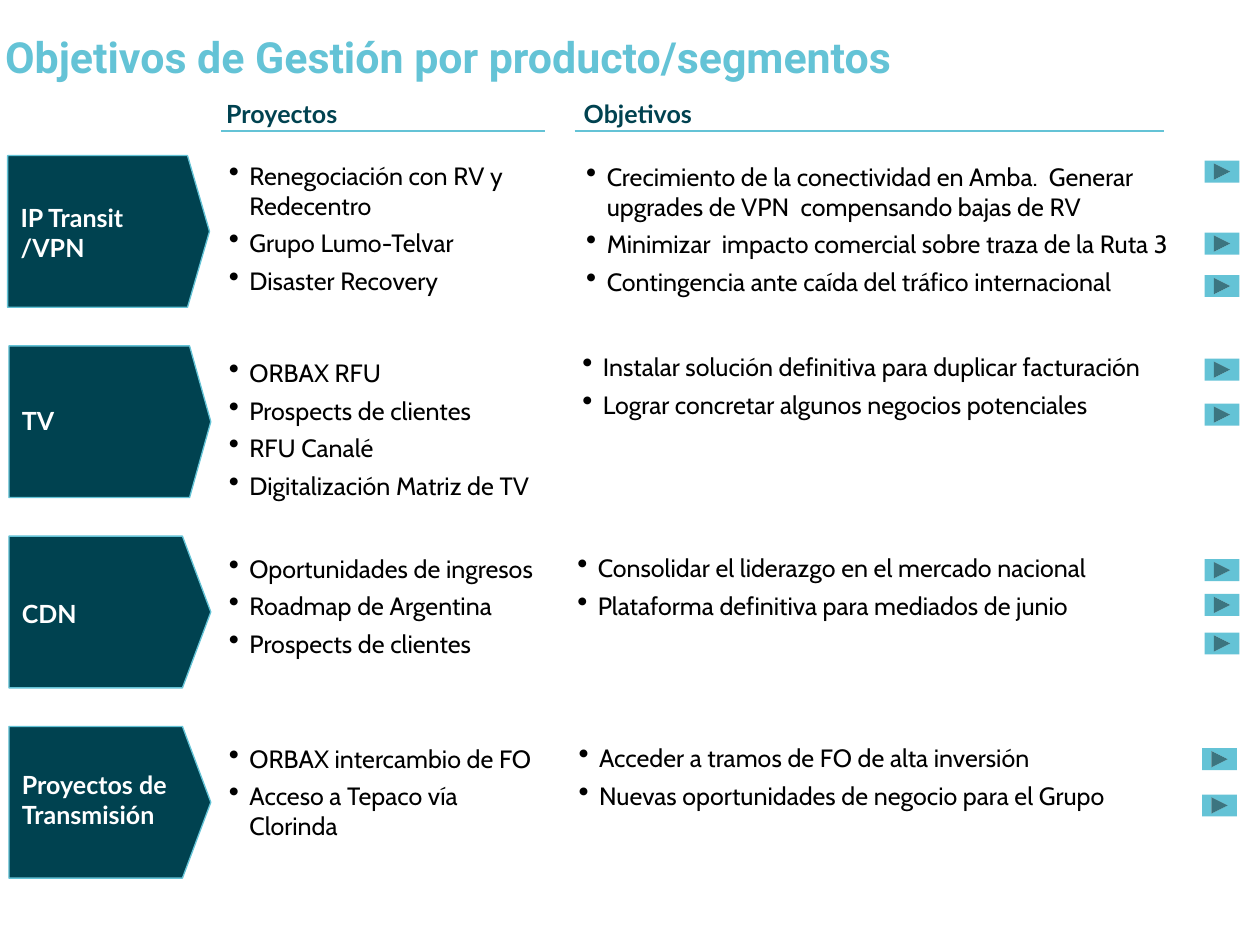
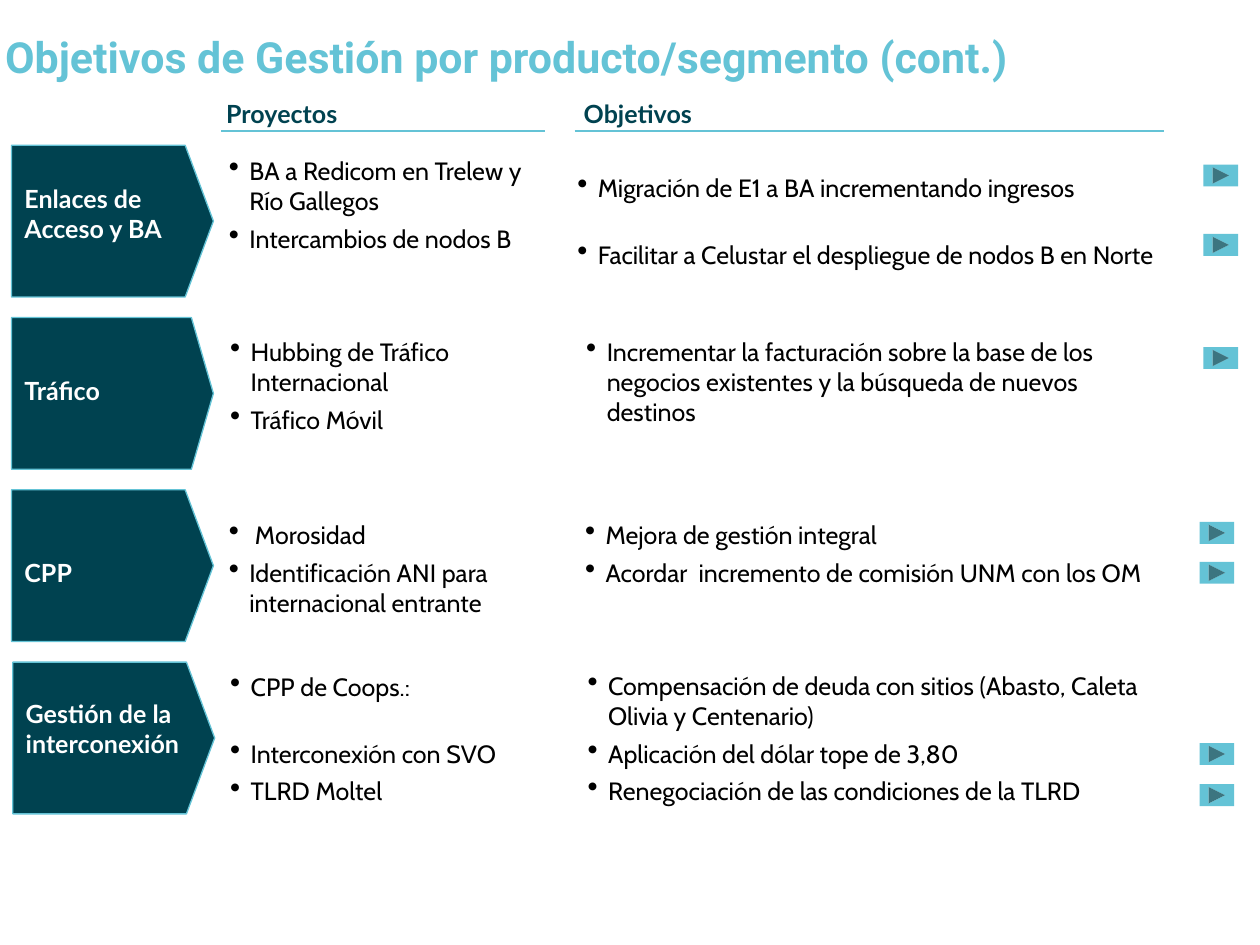
from lxml import etree
from pptx import Presentation
from pptx.dml.color import RGBColor
from pptx.enum import shapes, text
from pptx.oxml import ns
from pptx.util import Inches, Pt

# Shared look
CYAN, TEAL, WHITE, BLACK = "64C3D6", "004250", "FFFFFF", "000000"
INDENT = 0.16
PARAGRAPH_GAP, WIDE_GAP = 4.2, 20.8
PENTAGON_WIDTH, PENTAGON_HEIGHT = 1.57, 1.18
BUTTON_WIDTH, BUTTON_HEIGHT = 0.27, 0.17

# Column headings: text, text left, text width, rule start, rule end
HEADINGS = [
    ("Proyectos", 1.76, 2.47, 1.72, 4.24),
    ("Objetivos", 4.54, 4.49, 4.47, 9.05),
]

# Each list is (left, top, width, height), items; "wide" marks lists with a large first gap
PAGES = [
    {
        "title": "Objetivos de Gestión por producto/segmentos",
        "first_top": 1.21,
        "pitch": 1.48,
        "segments": [
            {"label": ["IP Transit", "/VPN"], "left": 0.06, "middle": 1.81, "point": 0.145,
             "lists": [
                 ((1.78, 1.23, 2.42, 1.08),
                  ["Renegociación con RV y Redecentro", "Grupo Lumo-Telvar", "Disaster Recovery"]),
                 ((4.56, 1.23, 4.76, 1.1),
                  ["Crecimiento de la conectividad en Amba.  Generar upgrades de VPN  compensando bajas de RV",
                   "Minimizar  impacto comercial sobre traza de la Ruta 3",
                   "Contingencia ante caída del tráfico internacional"]),
             ]},
            {"label": ["TV"], "left": 0.07, "middle": 3.27, "point": 0.14,
             "lists": [
                 ((1.78, 2.76, 2.47, 1.15),
                  ["ORBAX RFU", "Prospects de clientes", "RFU Canalé", "Digitalización Matriz de TV"]),
                 ((4.53, 2.72, 4.67, 0.56),
                  ["Instalar solución definitiva para duplicar facturación",
                   "Lograr concretar algunos negocios potenciales"]),
             ]},
            {"label": ["CDN"], "left": 0.07, "middle": 4.77, "point": 0.187,
             "lists": [
                 ((1.78, 4.17, 2.42, 1.08),
                  ["Oportunidades de ingresos", "Roadmap de Argentina", "Prospects de clientes"]),
                 ((4.49, 4.29, 4.67, 0.54),
                  ["Consolidar el liderazgo en el mercado nacional",
                   "Plataforma definitiva para mediados de junio"]),
             ]},
            {"label": ["Proyectos de Transmisión"], "left": 0.07, "middle": 6.22, "point": 0.187,
             "lists": [
                 ((1.78, 5.77, 2.42, 0.78),
                  ["ORBAX intercambio de FO", "Acceso a Tepaco vía Clorinda"]),
                 ((4.5, 5.77, 4.67, 0.54),
                  ["Acceder a tramos de FO de alta inversión",
                   "Nuevas oportunidades de negocio para el Grupo"]),
             ]},
        ],
        "buttons": [(9.37, [1.25, 1.81, 2.14, 2.79, 3.14, 4.35, 4.62, 4.92]),
                    (9.35, [5.82, 6.18])],
    },
    {
        "title": "Objetivos de Gestión por producto/segmento (cont.)",
        "first_top": 1.13,
        "pitch": 1.34,
        "segments": [
            {"label": ["Enlaces de Acceso y BA"], "left": 0.09, "middle": 1.66, "point": 0.186,
             "wide": [1],
             "lists": [
                 ((1.78, 1.2, 2.42, 0.78),
                  ["BA a Redicom en Trelew y Río Gallegos", "Intercambios de nodos B"]),
                 ((4.49, 1.21, 4.55, 1.02),
                  ["Migración de E1 a BA incrementando ingresos",
                   "Facilitar a Celustar el despliegue de nodos B en Norte"]),
             ]},
            {"label": ["Tráfico"], "left": 0.09, "middle": 3.04, "point": 0.145,
             "lists": [
                 ((1.79, 2.61, 2.7, 0.78),
                  ["Hubbing de Tráfico Internacional", "Tráfico Móvil"]),
                 ((4.56, 2.61, 4.47, 0.71),
                  ["Incrementar la facturación sobre la base de los negocios existentes "
                   "y la búsqueda de nuevos destinos"]),
             ]},
            {"label": ["CPP"], "left": 0.09, "middle": 4.45, "point": 0.186,
             "lists": [
                 ((1.78, 4.03, 2.54, 0.78),
                  [" Morosidad", "Identificación ANI para internacional entrante"]),
                 ((4.55, 4.03, 4.49, 0.55),
                  ["Mejora de gestión integral",
                   "Acordar  incremento de comisión UNM con los OM"]),
             ]},
            {"label": ["Gestión de la interconexión"], "left": 0.1, "middle": 5.67, "point": 0.186,
             "wide": [0],
             "lists": [
                 ((1.79, 5.2, 2.54, 1.09),
                  ["CPP de Coops.:", "Interconexión con SVO", "TLRD Moltel"]),
                 ((4.57, 5.2, 4.49, 1.08),
                  ["Compensación de deuda con sitios (Abasto, Caleta Olivia y Centenario)",
                   "Aplicación del dólar tope de 3,80",
                   "Renegociación de las condiciones de la TLRD"]),
             ]},
        ],
        "buttons": [(9.36, [1.28, 1.82, 2.7]), (9.33, [4.06, 4.37, 5.78, 6.1])],
    },
]


def color(value):
    return RGBColor.from_string(value)


def write(box, lines, size, font, hue, bold, anchor):
    """Fill a title or text box with evenly formatted paragraphs."""
    frame = box.text_frame
    frame.margin_left = frame.margin_right = frame.margin_top = frame.margin_bottom = 0
    frame.word_wrap = True
    frame.auto_size = text.MSO_AUTO_SIZE.SHAPE_TO_FIT_TEXT
    frame.vertical_anchor = anchor
    frame.text = "\n".join(lines)
    for para in frame.paragraphs:
        para.alignment = text.PP_ALIGN.LEFT
        for span in para.runs:
            span.font.size = Pt(size)
            span.font.name = font
            span.font.bold = bold
            span.font.color.rgb = color(hue)
    return frame.paragraphs


deck = Presentation()
deck.slide_width, deck.slide_height = Inches(9.8), Inches(7.35)

for content in PAGES:
    page = deck.slides.add_slide(deck.slide_layouts[5])

    # Title
    title = page.shapes.title
    title.left, title.top, title.width, title.height = map(Inches, (0.04, 0.24, 9.72, 0.4))
    write(title, [content["title"]], 24, "Roboto", CYAN, True, text.MSO_ANCHOR.TOP)

    # Column headings with their rules
    for heading, left, width, start, end in HEADINGS:
        rule = page.shapes.add_connector(
            shapes.MSO_CONNECTOR.STRAIGHT, Inches(start), Inches(1.02), Inches(end), Inches(1.02))
        rule.line.color.rgb = color(CYAN)
        rule.line.width = Pt(0.75)
        etree.SubElement(rule._element.spPr, ns.qn("a:effectLst"))
        box = page.shapes.add_textbox(Inches(left), Inches(0.76), Inches(width), Inches(0.24))
        write(box, [heading], 14, "Lato", TEAL, True, text.MSO_ANCHOR.BOTTOM)

    for row, segment in enumerate(content["segments"]):
        # Segment pentagon and its label
        top = content["first_top"] + row * content["pitch"]
        pentagon = page.shapes.add_shape(
            shapes.MSO_SHAPE.PENTAGON, Inches(segment["left"]), Inches(top),
            Inches(PENTAGON_WIDTH), Inches(PENTAGON_HEIGHT))
        pentagon.adjustments[0] = segment["point"]
        pentagon.shadow.inherit = False
        pentagon.fill.solid()
        pentagon.fill.fore_color.rgb = color(TEAL)
        pentagon.line.color.rgb = color(CYAN)
        pentagon.line.width = Pt(0.75)
        height = 0.24 if segment["label"] in (["TV"], ["CDN"], ["Tráfico"], ["CPP"]) else 0.47
        label = page.shapes.add_textbox(
            Inches(segment["left"] + 0.1), Inches(segment["middle"] - height / 2),
            Inches(1.31), Inches(height))
        write(label, segment["label"], 14, "Lato", WHITE, True, text.MSO_ANCHOR.MIDDLE)

        # Bulleted projects and objectives
        for column, (place, items) in enumerate(segment["lists"]):
            box = page.shapes.add_textbox(*map(Inches, place))
            paragraphs = write(box, items, 14, "Cabin", BLACK, False, text.MSO_ANCHOR.MIDDLE)
            for index, para in enumerate(paragraphs):
                wide = index == 1 and column in segment.get("wide", [])
                para.space_before = Pt(WIDE_GAP if wide else PARAGRAPH_GAP)
                properties = para._p.get_or_add_pPr()
                properties.set("marL", str(Inches(INDENT)))
                properties.set("indent", str(-Inches(INDENT)))
                bullet_color = etree.SubElement(properties, ns.qn("a:buClr"))
                etree.SubElement(bullet_color, ns.qn("a:srgbClr"), val=BLACK)
                etree.SubElement(properties, ns.qn("a:buSzPct"), val="120000")
                etree.SubElement(properties, ns.qn("a:buChar"), char="•")

    # Forward buttons
    for left, tops in content["buttons"]:
        for top in tops:
            button = page.shapes.add_shape(
                shapes.MSO_SHAPE.ACTION_BUTTON_FORWARD_OR_NEXT, Inches(left), Inches(top),
                Inches(BUTTON_WIDTH), Inches(BUTTON_HEIGHT))
            button.shadow.inherit = False
            button.fill.solid()
            button.fill.fore_color.rgb = color(CYAN)
            button.line.fill.background()

deck.save("out.pptx")
